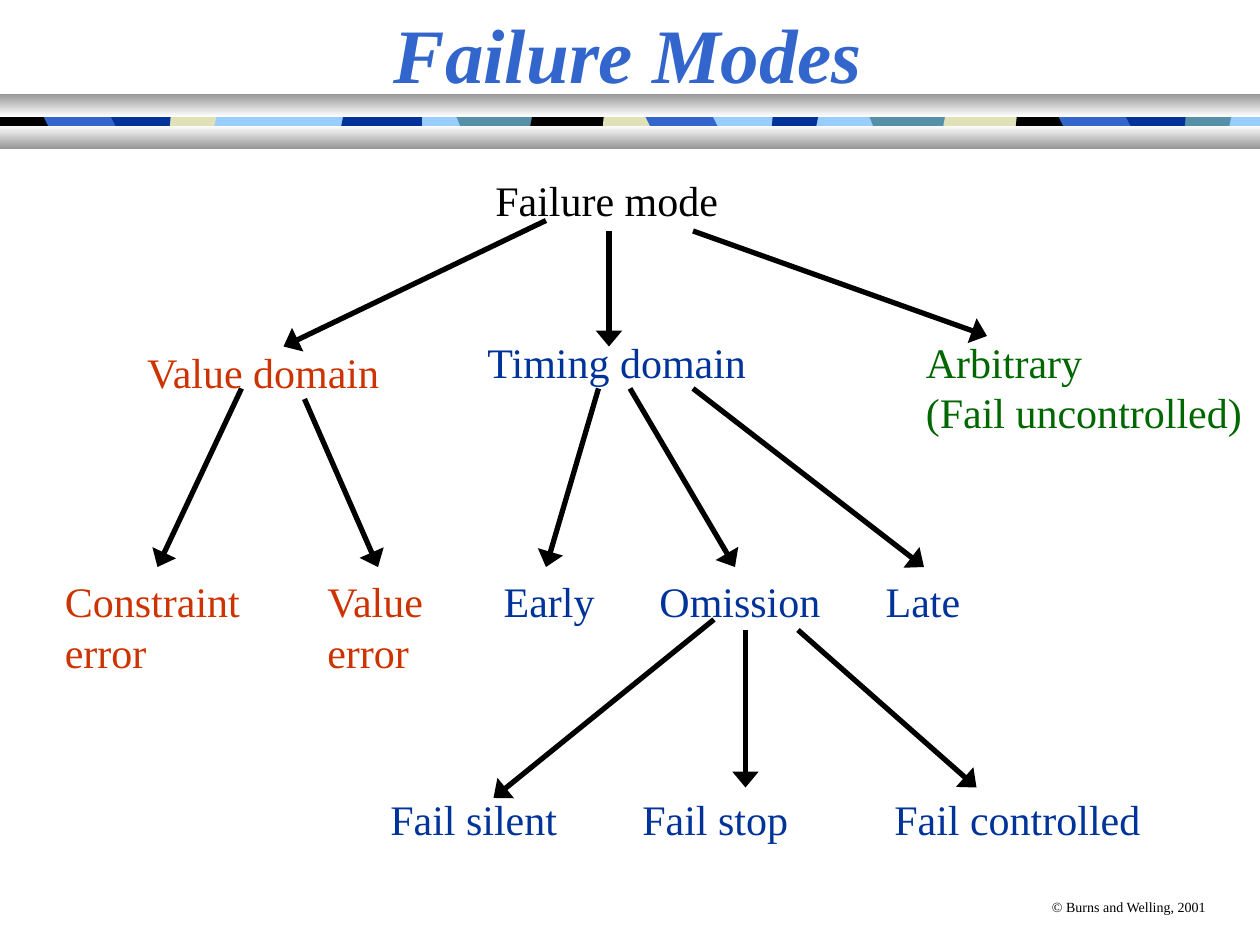
from lxml.etree import SubElement
from pptx import Presentation
from pptx.dml.color import RGBColor
from pptx.enum.shapes import MSO_CONNECTOR as Connector, MSO_SHAPE as Shape
from pptx.enum.text import MSO_ANCHOR as Anchor, MSO_AUTO_SIZE as AutoSize, PP_ALIGN as Align
from pptx.oxml.ns import qn
from pptx.util import Pt

BLACK, BLUE, NAVY, SKY = "000000", "3366CC", "003399", "99CCFF"
TEAL, BEIGE, RED, GREEN = "5490A8", "E1E1B7", "CC3300", "006600"
WHITE, GRAY = "FFFFFF", "989898"

STRIP_LEVELS = (61, 67, 72, 81.5)
STRIP_EDGES = {
    "wedge": ((497, 497, 499, 497), (542,) * 4),
    "block": ((539.5, 540, 539, 539.5), (585,) * 4),
    "cap": ((676,) * 4, (699, 703.5, 702.5, 699)),
    "notch": ((584.5, 581, 580.5, 584.5), (616,) * 4),
    "point": ((602.5, 605, 607.5, 602.5), (648,) * 4),
    "bend": ((646, 643.5, 646, 646), (675.5, 677.5, 677, 675.5)),
}
STRIP_SECTIONS = [
    (0, {"wedge": TEAL, "block": BEIGE, "cap": TEAL,
         "notch": BLACK, "point": BLUE, "bend": NAVY}),
    (-236, {"wedge": TEAL, "block": BLACK, "cap": NAVY,
            "notch": BEIGE, "point": BLUE, "bend": SKY}),
    (-344, {"wedge": SKY, "block": NAVY}),
    (-580, {"cap": BEIGE, "point": BLUE, "bend": NAVY}),
]

LEAF_TOP, FAIL_TOP = 325.5, 450
MODES = [
    (("Failure mode",), 276, 96, 142, BLACK),
    (("Value domain",), 77, 194.75, 150, RED),
    (("Timing domain",), 271.5, 188.5, 163, NAVY),
    (("Arbitrary", "(Fail uncontrolled)"), 522, 188.75, 195, GREEN),
    (("Constraint", "error"), 30, LEAF_TOP, 120, RED),
    (("Value", "error"), 180, LEAF_TOP, 78, RED),
    (("Early",), 280.75, LEAF_TOP, 68, NAVY),
    (("Omission",), 369.75, LEAF_TOP, 108, NAVY),
    (("Late",), 499, LEAF_TOP, 58, NAVY),
    (("Fail silent",), 216, FAIL_TOP, 112, NAVY),
    (("Fail stop",), 360, FAIL_TOP, 99, NAVY),
    (("Fail controlled",), 504, FAIL_TOP, 156, NAVY),
]
BRANCHES = [
    (312, 126, 162, 198), (348, 132, 348, 198), (396, 132, 564, 192),
    (138, 222, 90, 324), (174, 228, 216, 324),
    (342, 222, 312, 324), (360, 222, 420, 324), (396, 222, 528, 324),
    (408, 354, 282, 456), (426, 360, 426, 450), (456, 360, 558, 450),
]


def color(value):
    return RGBColor.from_string(value)


class SlideBuilder:
    font_name = "Times New Roman"
    arrow_width = 3

    def __init__(self, slide):
        self.slide = slide
        self.shapes = slide.shapes

    def style(self, paragraph, size, shade):
        paragraph.font.name = self.font_name
        paragraph.font.size = Pt(size)
        paragraph.font.color.rgb = color(shade)

    def title(self, text, left, top, width, height):
        heading = self.shapes.title
        heading.left, heading.top = Pt(left), Pt(top)
        heading.width, heading.height = Pt(width), Pt(height)
        frame = heading.text_frame
        frame.text = text
        frame.vertical_anchor = Anchor.MIDDLE
        frame.auto_size = AutoSize.NONE
        paragraph = frame.paragraphs[0]
        paragraph.alignment = Align.CENTER
        self.style(paragraph, 44, BLUE)
        paragraph.font.bold = paragraph.font.italic = True

    def label(self, lines, left, top, width, shade, size=24):
        height = 7.2 + 1.2 * size * len(lines)
        box = self.shapes.add_textbox(Pt(left), Pt(top), Pt(width), Pt(height))
        frame = box.text_frame
        frame.word_wrap = False
        frame.auto_size = AutoSize.SHAPE_TO_FIT_TEXT
        frame.text = "\n".join(lines)
        for paragraph in frame.paragraphs:
            self.style(paragraph, size, shade)

    def piece(self, points, shade):
        start, *rest = [(Pt(x), Pt(y)) for x, y in points]
        builder = self.shapes.build_freeform(*start)
        builder.add_line_segments(rest, close=True)
        outline = builder.convert_to_shape()
        outline.shadow.inherit = False
        outline.fill.solid()
        outline.fill.fore_color.rgb = color(shade)
        outline.line.fill.background()

    def bar(self, top, height, upper, lower):
        band = self.shapes.add_shape(Shape.RECTANGLE, 0, Pt(top), Pt(720), Pt(height))
        band.shadow.inherit = False
        band.line.fill.background()
        band.fill.gradient()
        band.fill.gradient_angle = 270
        for stop, position, shade in zip(band.fill.gradient_stops, (0, 1), (upper, lower)):
            stop.position = position
            stop.color.rgb = color(shade)

    def arrow(self, *ends):
        branch = self.shapes.add_connector(Connector.STRAIGHT, *map(Pt, ends))
        branch.line.color.rgb = color(BLACK)
        branch.line.width = Pt(self.arrow_width)
        SubElement(branch.line._get_or_add_ln(), qn("a:tailEnd"), type="triangle", w="lg")
        SubElement(branch._element.spPr, qn("a:effectLst"))


def draw_strip(builder):
    top, bottom = STRIP_LEVELS[0], STRIP_LEVELS[-1]
    builder.piece([(2, top), (720, top), (720, bottom), (2, bottom)], SKY)
    builder.piece([(0, top), (36, top), (36, bottom), (0, bottom)], BLACK)
    for offset, section in STRIP_SECTIONS:
        for kind, shade in section.items():
            left, right = STRIP_EDGES[kind]
            down = list(zip(right, STRIP_LEVELS))
            up = list(zip(left, STRIP_LEVELS))[::-1]
            builder.piece([(x + offset, y) for x, y in down + up], shade)
    builder.bar(53.75, 13, GRAY, WHITE)
    builder.bar(71.75, 13, WHITE, GRAY)


def main():
    deck = Presentation()
    deck.slide_width, deck.slide_height = Pt(720), Pt(540)
    builder = SlideBuilder(deck.slides.add_slide(deck.slide_layouts[5]))
    draw_strip(builder)
    builder.label(["© Burns and Welling, 2001"], 594, 510, 103, BLACK, size=8)
    builder.title("Failure Modes", 0, 0, 718, 60)
    for mode in MODES:
        builder.label(*mode)
    for branch in BRANCHES:
        builder.arrow(*branch)
    deck.save("out.pptx")


if __name__ == "__main__":
    main()
